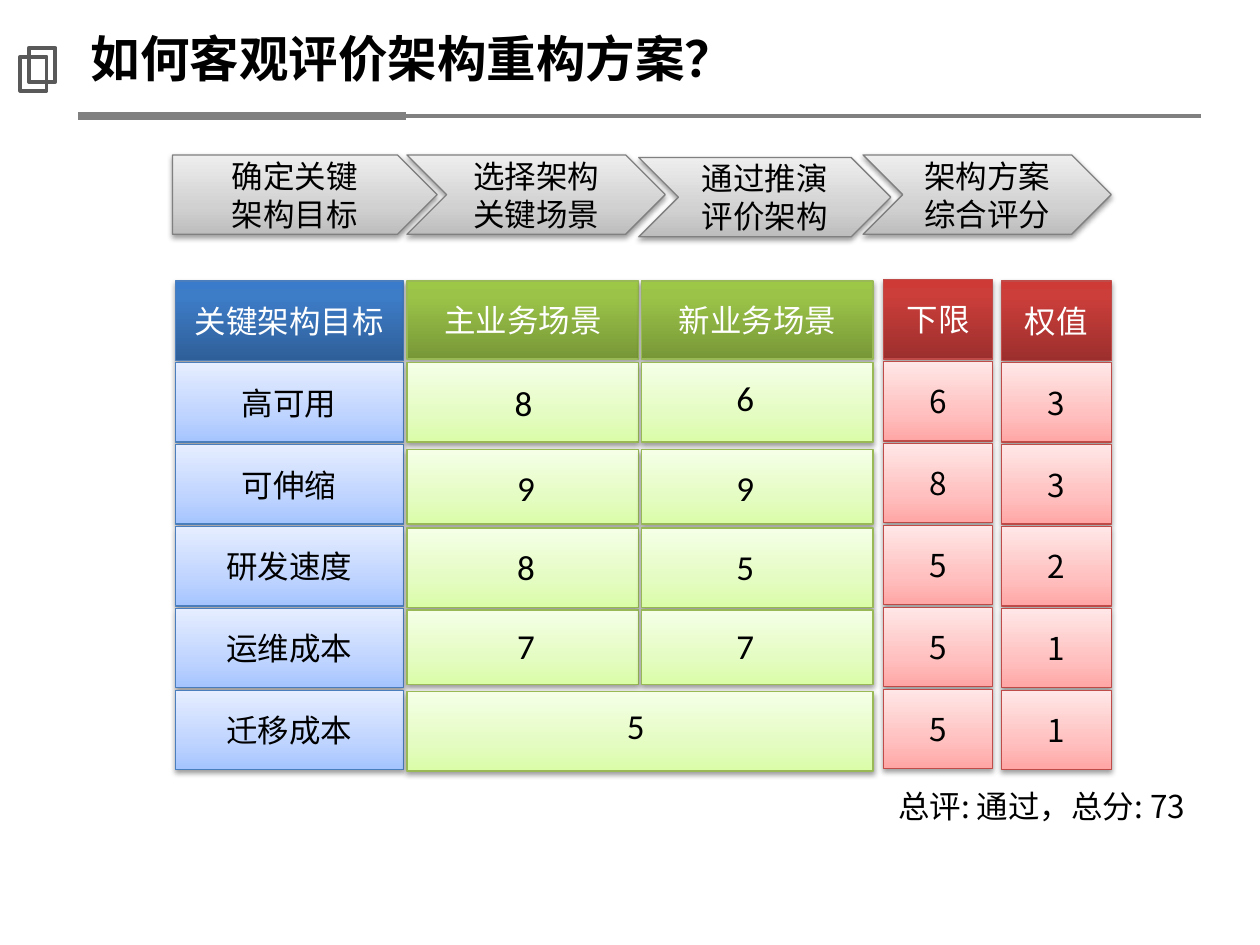
import copy

import pptx
import pptx.dml.color
import pptx.enum.shapes
import pptx.enum.text
import pptx.oxml
import pptx.oxml.ns
import pptx.util
from pptx.util import Inches

CJK = "Noto Sans CJK SC"
SHAPE = pptx.enum.shapes.MSO_SHAPE
ALIGN = pptx.enum.text.PP_ALIGN
MIDDLE = pptx.enum.text.MSO_ANCHOR.MIDDLE

# Each style: gradient stops from bottom to top, outline colour, text colour
GREY = ([(0, "BDBDBD"), (0.35, "D1D1D1"), (1, "EEEEEE")], "808080", "000000")
BLUE_HEAD = ([(0, "2F5F99"), (0.8, "3D7CC7"), (1, "3A7CCB")], "4B7EBC", "FFFFFF")
BLUE = ([(0, "A4C4FF"), (0.35, "BFD4FF"), (1, "E6EEFF")], "4B7EBC", "000000")
GREEN_HEAD = ([(0, "779737"), (0.8, "9BC348"), (1, "9DC746")], "98B955", "FFFFFF")
GREEN = ([(0, "DAFDA7"), (0.35, "E4FCC2"), (1, "F5FFE7")], "98B955", "000000")
RED_HEAD = ([(0, "9C2F2D"), (0.8, "CB3E3A"), (1, "CE3B37")], "BF4C48", "FFFFFF")
RED = ([(0, "FFA6A5"), (0.35, "FFC0BF"), (1, "FFE7E7")], "BF4C48", "000000")

ROW_TOP, ROW_PITCH, ROW_HEIGHT = 2.23, 0.65, 0.63


def rgb(value):
    """Turn a hex string into a colour."""
    return pptx.dml.color.RGBColor.from_string(value)


def write(frame, text, size=18, font=CJK, color="000000", align=ALIGN.CENTER,
          bold=False, anchor=MIDDLE):
    """Fill a text frame, one paragraph for each line of text."""
    frame.text = text
    frame.word_wrap = True
    frame.vertical_anchor = anchor
    for paragraph in frame.paragraphs:
        paragraph.alignment = align
        paragraph.font.size = pptx.util.Pt(size)
        paragraph.font.bold = bold
        paragraph.font.name = font
        paragraph.font.color.rgb = rgb(color)
        latin = paragraph.font._element.find(pptx.oxml.ns.qn("a:latin"))
        latin.addnext(pptx.oxml.parse_xml(
            f'<a:ea {pptx.oxml.ns.nsdecls("a")} typeface="{font}"/>'))


def add_gradient(shape, stops):
    """Fill a shape with a vertical gradient of three stops."""
    shape.fill.gradient()
    shape.fill.gradient_angle = 90
    stop_list = shape._element.spPr.find(".//" + pptx.oxml.ns.qn("a:gsLst"))
    stop_list.append(copy.deepcopy(stop_list[-1]))
    for stop, (position, color) in zip(shape.fill.gradient_stops, stops):
        stop.position = position
        stop.color.rgb = rgb(color)


def add_shadow(shape):
    """Put a soft shadow below a shape."""
    shape.shadow.inherit = False
    effects = shape._element.spPr.find(pptx.oxml.ns.qn("a:effectLst"))
    effects.append(pptx.oxml.parse_xml(
        f'<a:outerShdw {pptx.oxml.ns.nsdecls("a")} blurRad="40000" dist="20000"'
        ' dir="5400000" rotWithShape="0"><a:srgbClr val="000000">'
        '<a:alpha val="38000"/></a:srgbClr></a:outerShdw>'))


def add_block(slide, left, top, width, height, style, text="", kind=SHAPE.RECTANGLE):
    """Add a glossy block in one of the styles."""
    stops, outline, color = style
    block = slide.shapes.add_shape(
        kind, Inches(left), Inches(top), Inches(width), Inches(height))
    add_gradient(block, stops)
    block.line.color.rgb = rgb(outline)
    block.line.width = pptx.util.Pt(0.75)
    add_shadow(block)
    if text:
        write(block.text_frame, text, color=color)


def add_column(slide, left, width, head_style, style, labels, top=ROW_TOP):
    """Add a column of equal blocks, the first one as its head."""
    for row, label in enumerate(labels):
        add_block(slide, left, top + row * ROW_PITCH, width, ROW_HEIGHT,
                  style if row else head_style, label)


def add_label(slide, left, top, width, height, text, **look):
    """Add a text box."""
    box = slide.shapes.add_textbox(
        Inches(left), Inches(top), Inches(width), Inches(height))
    write(box.text_frame, text, **look)


def add_rule(slide, left, right, top, weight):
    """Add a horizontal grey line."""
    rule = slide.shapes.add_connector(
        pptx.enum.shapes.MSO_CONNECTOR.STRAIGHT,
        Inches(left), Inches(top), Inches(right), Inches(top))
    rule.line.color.rgb = rgb("808080")
    rule.line.width = pptx.util.Pt(weight)
    rule._element.spPr.append(pptx.oxml.parse_xml(
        f'<a:effectLst {pptx.oxml.ns.nsdecls("a")}/>'))


def add_header(slide, text):
    """Add the title, its rules and the two overlapping frames beside it."""
    add_rule(slide, 0.62, 9.53, 0.92, 2.25)
    add_rule(slide, 0.62, 3.22, 0.92, 4.5)
    for left, top in ((0.16, 0.45), (0.23, 0.38)):
        frame = slide.shapes.add_shape(
            SHAPE.RECTANGLE, Inches(left), Inches(top), Inches(0.21), Inches(0.27))
        frame.fill.background()
        frame.line.color.rgb = rgb("595959")
        frame.line.width = pptx.util.Pt(2.25)
        frame.shadow.inherit = False
    title = slide.shapes.title
    title.left, title.top = Inches(0.62), Inches(0.14)
    title.width, title.height = Inches(8.88), Inches(0.64)
    write(title.text_frame, text, size=28.3, align=ALIGN.LEFT, bold=True)


def add_steps(slide):
    """Add the row of process arrows."""
    steps = [
        (1.37, 1.23, 2.1, "确定关键\n架构目标"),
        (3.23, 1.23, 2.05, "选择架构\n关键场景"),
        (5.07, 1.25, 2, "通过推演\n评价架构"),
        (6.85, 1.23, 1.97, "架构方案综合评分"),
    ]
    for number, (left, top, width, text) in enumerate(steps):
        kind = SHAPE.CHEVRON if number else SHAPE.PENTAGON
        add_block(slide, left, top, width, 0.63, GREY, text, kind)


def add_scenarios(slide):
    """Add the scenario columns, the shared bottom cell and the scores."""
    for left, head in ((3.23, "主业务场景"), (5.09, "新业务场景")):
        add_block(slide, left, ROW_TOP, 1.84, 0.62, GREEN_HEAD, head)
        for top, height in ((2.88, 0.63), (3.57, 0.59), (4.19, 0.63), (4.84, 0.59)):
            add_block(slide, left, top, 1.84, height, GREEN)
    add_block(slide, 3.23, 5.49, 3.7, 0.63, GREEN)
    scores = [
        (3.76, 3, "8"), (3.78, 3.67, "9"), (3.78, 4.3, "8"), (3.78, 4.93, "7"),
        (4.65, 5.56, "5"),
        (5.52, 2.96, "6"), (5.52, 3.67, "9"), (5.52, 4.3, "5"), (5.52, 4.93, "7"),
    ]
    for left, top, score in scores:
        add_label(slide, left, top, 0.79, 0.39, score, size=20, font="Calibri")


def main():
    """Build the slide and save it."""
    deck = pptx.Presentation()
    deck.slide_width, deck.slide_height = Inches(10), Inches(7.5)
    slide = deck.slides.add_slide(deck.slide_layouts[5])
    add_header(slide, "如何客观评价架构重构方案？")
    add_steps(slide)
    add_column(slide, 1.39, 1.81, BLUE_HEAD, BLUE,
               ["关键架构目标", "高可用", "可伸缩", "研发速度", "运维成本", "迁移成本"])
    add_scenarios(slide)
    add_column(slide, 7.01, 0.87, RED_HEAD, RED, ["下限", *"68555"], top=2.22)
    add_column(slide, 7.95, 0.87, RED_HEAD, RED, ["权值", *"33211"])
    add_label(slide, 7.03, 6.2, 2.54, 0.4, "总评: 通过，总分: 73",
              align=ALIGN.LEFT, anchor=pptx.enum.text.MSO_ANCHOR.TOP)
    deck.save("out.pptx")


main()
